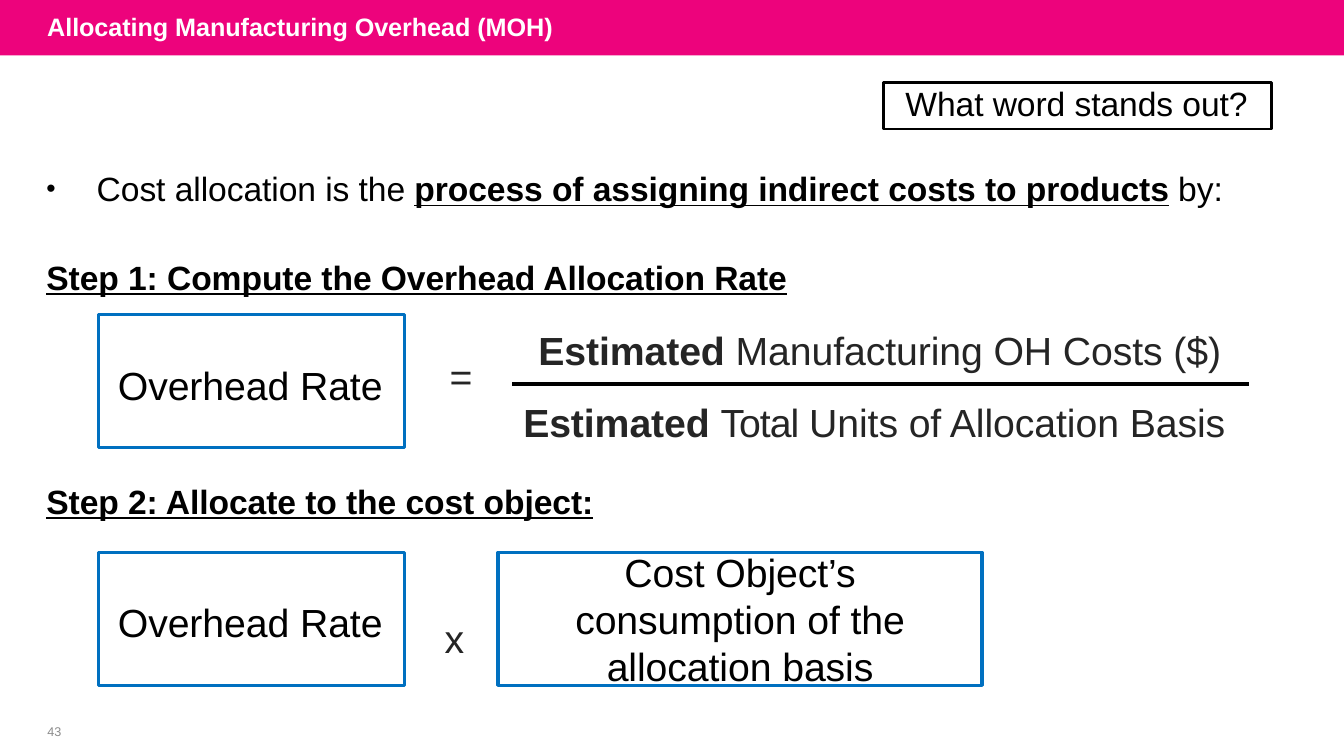
from lxml import etree
from pptx import Presentation
from pptx.dml.color import RGBColor
from pptx.enum.shapes import MSO_CONNECTOR, MSO_SHAPE
from pptx.enum.text import MSO_ANCHOR, PP_ALIGN
from pptx.oxml.ns import qn
from pptx.util import Pt

PX = 9144
PINK = RGBColor(0xED, 0x03, 0x7C)
BLUE = RGBColor(0x00, 0x70, 0xC0)
BLACK = RGBColor(0x00, 0x00, 0x00)
CHARCOAL = RGBColor(0x25, 0x25, 0x25)
GREY = RGBColor(0x8C, 0x8C, 0x8C)
WHITE = RGBColor(0xFF, 0xFF, 0xFF)
RECTANGLE = MSO_SHAPE.RECTANGLE
STRAIGHT = MSO_CONNECTOR.STRAIGHT
TOP, MIDDLE = MSO_ANCHOR.TOP, MSO_ANCHOR.MIDDLE
LEFT, CENTER = PP_ALIGN.LEFT, PP_ALIGN.CENTER


class SlideBuilder:
    font_name = "Arial"
    tracking = -5

    def __init__(self, presentation):
        self.slide = presentation.slides.add_slide(presentation.slide_layouts[6])

    def box(self, left, top, width, height, fill=None, line=None, weight=2.25):
        box = self.slide.shapes.add_shape(
            RECTANGLE, left * PX, top * PX, width * PX, height * PX)
        box.shadow.inherit = False
        if fill is None:
            box.fill.background()
        else:
            box.fill.solid()
            box.fill.fore_color.rgb = fill
        if line is None:
            box.line.fill.background()
        else:
            box.line.color.rgb = line
            box.line.width = Pt(weight)
        return box

    def text(self, left, top, width, height, content, **style):
        label = self.slide.shapes.add_textbox(
            left * PX, top * PX, width * PX, height * PX)
        self.fill_text(label, content, **style)
        return label

    def fill_text(self, shape, content, size=24, color=BLACK, bold=False, underline=False,
                  align=LEFT, anchor=TOP, inset_left=0, inset_top=2):
        frame = shape.text_frame
        frame.word_wrap = True
        frame.vertical_anchor = anchor
        frame.margin_left, frame.margin_top = inset_left * PX, inset_top * PX
        frame.margin_right = frame.margin_bottom = 0
        frame.text = content
        for paragraph in frame.paragraphs:
            paragraph.alignment = align
            for run in paragraph.runs:
                self.style_run(run, size, color, bold, underline)

    def style_run(self, run, size, color, bold=False, underline=False, tracking=tracking):
        run.font.name = self.font_name
        run.font.size = Pt(size)
        run.font.color.rgb = color
        run.font.bold = bold
        run.font.underline = underline
        run.font._element.set("spc", str(tracking))

    def add_words(self, paragraph, words, size, color, **style):
        run = paragraph.add_run()
        run.text = words
        self.style_run(run, size, color, **style)

    def bullet(self, paragraph, indent, hanging, percent):
        properties = paragraph._p.get_or_add_pPr()
        properties.set("marL", str(indent * PX))
        properties.set("indent", str(-hanging * PX))
        etree.SubElement(properties, qn("a:buSzPct")).set("val", str(percent * 1000))
        etree.SubElement(properties, qn("a:buFont")).set("typeface", self.font_name)
        etree.SubElement(properties, qn("a:buChar")).set("char", "•")

    def rule(self, left, top, right, color, weight):
        rule = self.slide.shapes.add_connector(
            STRAIGHT, left * PX, top * PX, right * PX, top * PX)
        rule.line.color.rgb = color
        rule.line.width = Pt(weight)
        etree.SubElement(rule._element.spPr, qn("a:effectLst"))


def main():
    presentation = Presentation()
    presentation.slide_width, presentation.slide_height = 1333 * PX, 750 * PX
    builder = SlideBuilder(presentation)

    builder.box(0, 0, 1333, 55, fill=PINK)
    builder.text(37, 0, 1050, 51, "Allocating Manufacturing Overhead (MOH)",
                 size=18, color=WHITE, bold=True, anchor=MIDDLE, inset_left=10)
    builder.text(28, 714, 52, 24, "43", size=9, color=GREY,
                 align=CENTER, anchor=MIDDLE, inset_top=0)

    definition = builder.text(46, 165, 1190, 127, "Cost allocation is the ")
    allocation = definition.text_frame.paragraphs[0]
    builder.bullet(allocation, indent=50, hanging=50, percent=79)
    builder.add_words(allocation, "process of assigning indirect costs to products",
                      24, BLACK, bold=True, underline=True)
    builder.add_words(allocation, " by:", 24, BLACK)
    step_one = definition.text_frame.add_paragraph()
    step_one.space_before = Pt(34.5)
    builder.add_words(step_one, "Step 1: Compute the Overhead Allocation Rate",
                      24, BLACK, bold=True, underline=True)
    builder.text(46, 475, 600, 43, "Step 2: Allocate to the cost object:",
                 bold=True, underline=True)

    for top in (312, 548):
        overhead_rate = builder.box(98, top, 303, 132, line=BLUE)
        builder.fill_text(overhead_rate, "Overhead Rate", size=28,
                          inset_left=19, inset_top=46)

    for left, top, sign in ((446, 347, "="), (441, 607, "x")):
        builder.text(left, top, 40, 49, sign, size=28, color=CHARCOAL)

    fraction = (
        (534, 322, (("Manufacturing OH Costs ($)", -5),)),
        (519, 393, (("Total ", -70), ("Units of Allocation Basis", -5))),
    )
    for left, top, parts in fraction:
        term = builder.text(left, top, 740, 49, "Estimated ",
                            size=28, color=CHARCOAL, bold=True)
        for words, tracking in parts:
            builder.add_words(term.text_frame.paragraphs[0], words, 28, CHARCOAL,
                              tracking=tracking)
    builder.rule(508, 381, 1239, BLACK, 3)

    consumption = builder.box(494, 548, 480, 132, line=BLUE)
    builder.fill_text(consumption, "Cost Object’s\nconsumption of the\nallocation basis",
                      size=28, align=CENTER, inset_top=1)
    for paragraph, pitch in zip(consumption.text_frame.paragraphs, (30.2, 33.6, 33.6)):
        paragraph.line_spacing = Pt(pitch)

    question = builder.box(876, 82, 385, 46, line=BLACK, weight=2)
    builder.fill_text(question, "What word stands out?", inset_left=22, inset_top=0)
    question.text_frame.paragraphs[0].line_spacing = Pt(28.7)

    presentation.save("out.pptx")


if __name__ == "__main__":
    main()
